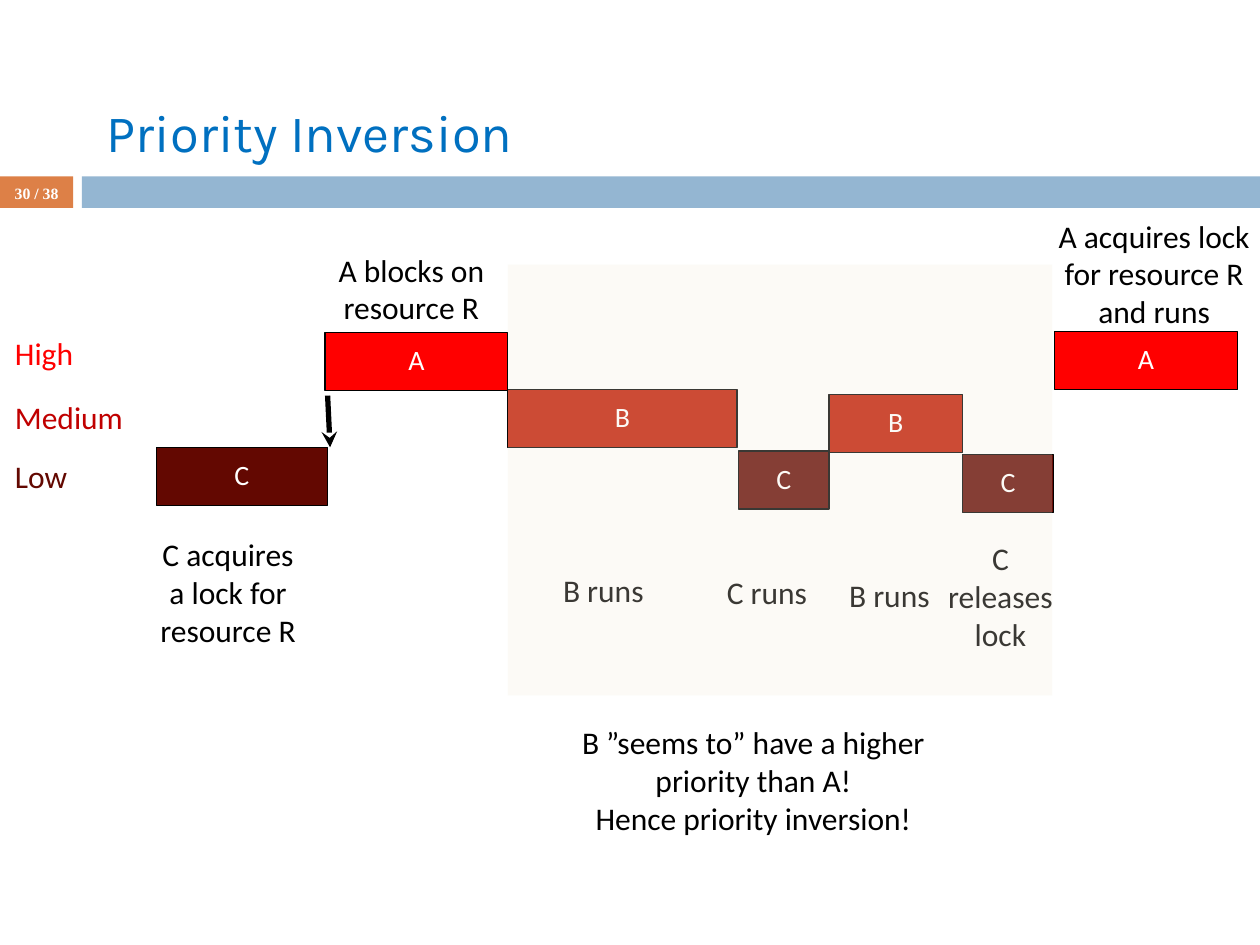
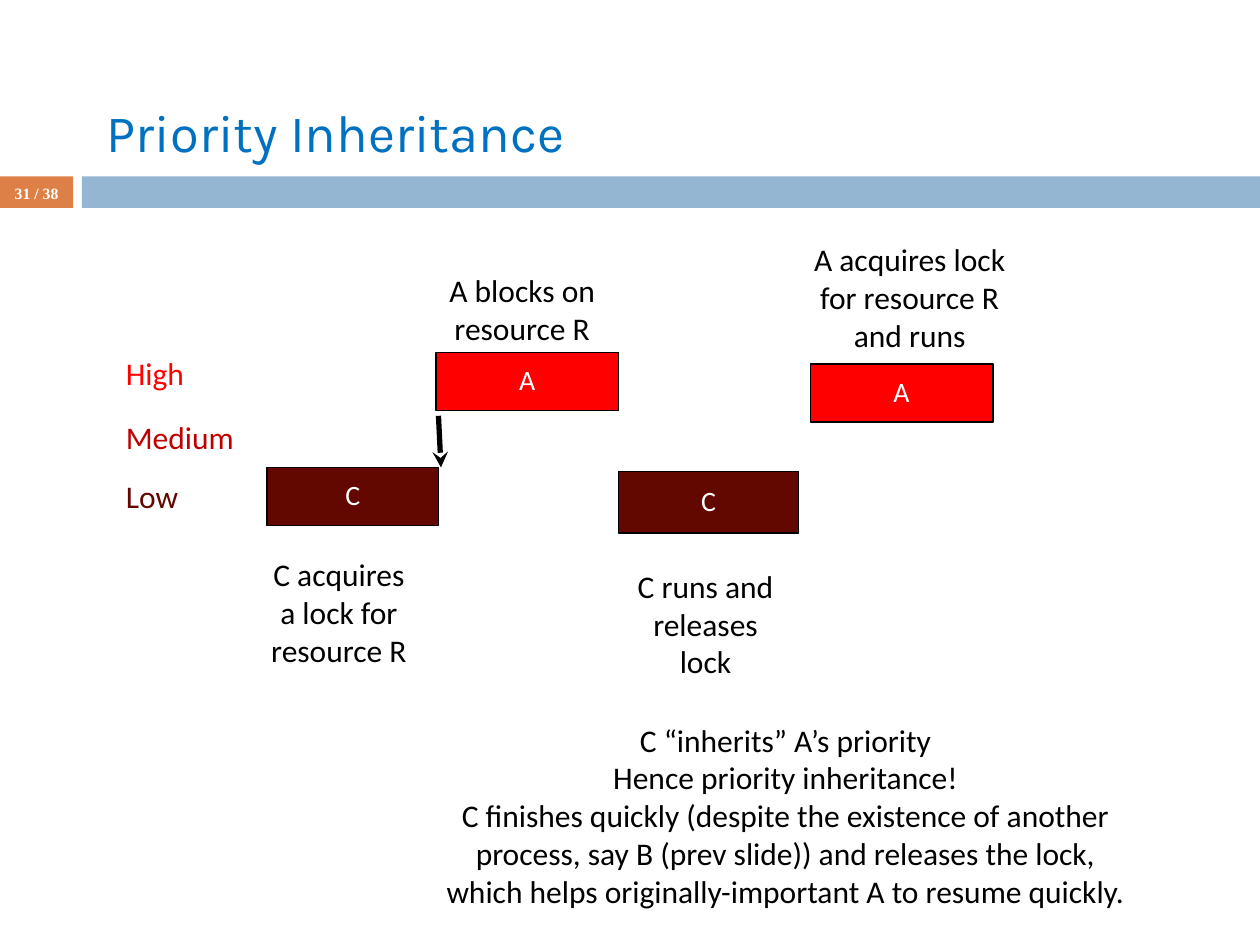
import pptx
import pptx.dml.color
import pptx.enum.shapes
import pptx.enum.text
import pptx.oxml
import pptx.oxml.ns
import pptx.util

Inches = pptx.util.Inches
Pt = pptx.util.Pt
SHAPE = pptx.enum.shapes.MSO_SHAPE
ALIGN = pptx.enum.text.PP_ALIGN
ANCHOR = pptx.enum.text.MSO_ANCHOR

BLACK, WHITE = "000000", "FFFFFF"
ORANGE, BLUE, TITLE_BLUE, CREAM = "DD8047", "94B6D2", "0070C0", "F3EBDB"
TASK_COLORS = {"A": "FF0000", "B": "C01A01", "C": "630801"}
LEVELS = [("High", "FF0000", 2.6), ("Medium", "C00000", 3.11), ("Low", "630801", 3.58)]
TOTAL_SLIDES = 38

FONTS = {
    "title": {"name": "Karla", "size": Pt(30)},
    "number": {"name": "Times New Roman", "size": Pt(9), "bold": True},
    "task": {"name": "Calibri", "size": Pt(16)},
    "body": {"name": "Calibri", "size": Pt(18)},
}
PARAGRAPHS = {
    "title": {"alignment": ALIGN.LEFT},
    "number": {"alignment": ALIGN.CENTER, "line_spacing": 0.6},
    "task": {"alignment": ALIGN.CENTER, "line_spacing": 0.9},
    "body": {"alignment": ALIGN.CENTER},
}


def rgb(color):
    return pptx.dml.color.RGBColor.from_string(color)


def assign(target, values):
    """Set every attribute named in values on target."""
    for name, value in values.items():
        setattr(target, name, value)


def add_xml(parent, tag, **attributes):
    child = pptx.oxml.parse_xml(f"<a:{tag} {pptx.oxml.ns.nsdecls('a')}/>")
    for name, value in attributes.items():
        child.set(name, str(value))
    parent.append(child)


class Deck:
    def __init__(self):
        self.prs = pptx.Presentation()
        self.prs.slide_width, self.prs.slide_height = Inches(10), Inches(7.5)
        self.s = None

    def slide(self, title, number):
        self.s = self.prs.slides.add_slide(self.prs.slide_layouts[6])
        self.shape(0, 1.4, 0.58, 0.25, ORANGE)
        self.shape(0.65, 1.4, 9.35, 0.25, BLUE)
        self.text(0.75, 0.42, 8.5, 1.25, [title], "title", TITLE_BLUE, anchor=ANCHOR.MIDDLE)
        self.text(0, 1.42, 0.58, 0.27, [f"{number} / {TOTAL_SLIDES}"], "number", WHITE,
                  anchor=ANCHOR.MIDDLE)

    def shape(self, x, y, w, h, fill, kind=SHAPE.RECTANGLE, opacity=None):
        sp = self.s.shapes.add_shape(kind, Inches(x), Inches(y), Inches(w), Inches(h))
        sp.shadow.inherit = False
        sp.fill.solid()
        sp.fill.fore_color.rgb = rgb(fill)
        sp.line.fill.background()
        if opacity is not None:
            color = sp._element.spPr.find(".//" + pptx.oxml.ns.qn("a:srgbClr"))
            add_xml(color, "alpha", val=opacity * 1000)
        return sp

    def set_text(self, tf, lines, style, color, anchor, align=None):
        assign(tf, {"word_wrap": True, "vertical_anchor": anchor})
        for i, line in enumerate(lines):
            p = tf.add_paragraph() if i else tf.paragraphs[0]
            assign(p, PARAGRAPHS[style])
            if align is not None:
                p.alignment = align
            r = p.add_run()
            r.text = line
            assign(r.font, FONTS[style])
            r.font.color.rgb = rgb(color)

    def text(self, x, y, w, h, lines, style="body", color=BLACK, anchor=ANCHOR.TOP, align=None):
        sp = self.s.shapes.add_textbox(Inches(x), Inches(y), Inches(w), Inches(h))
        self.set_text(sp.text_frame, lines, style, color, anchor, align)

    def task(self, name, x, y, w, h=0.46):
        """Draw one running period of a task in the task's colour."""
        sp = self.shape(x, y, w, h, TASK_COLORS[name], SHAPE.ROUNDED_RECTANGLE)
        sp.adjustments[0] = 0
        sp.line.width = Pt(0.75)
        sp.line.color.rgb = rgb(BLACK)
        tf = sp.text_frame
        assign(tf, {"margin_left": Inches(0.09), "margin_right": Inches(0.09),
                    "margin_top": Inches(0.04), "margin_bottom": Inches(0.04)})
        self.set_text(tf, [name], "task", WHITE, ANCHOR.MIDDLE)

    def arrow(self, x1, y1, x2, y2):
        sp = self.s.shapes.add_connector(pptx.enum.shapes.MSO_CONNECTOR.STRAIGHT,
                                         Inches(x1), Inches(y1), Inches(x2), Inches(y2))
        sp.line.width = Pt(3)
        sp.line.color.rgb = rgb(BLACK)
        spPr = sp._element.spPr
        add_xml(spPr.find(pptx.oxml.ns.qn("a:ln")), "tailEnd", type="stealth")
        add_xml(spPr, "effectLst")

    def blocking(self, dx=0, dy=0):
        """Draw the priority levels and the start: C takes the lock, A preempts and blocks."""
        for name, color, y in LEVELS:
            self.text(0.02 + dx, y + dy, 1.22, 0.47, [name], color=color, align=ALIGN.LEFT)
        self.task("C", 1.24 + dx, 3.55 + dy, 1.36)
        self.task("A", 2.58 + dx, 2.64 + dy, 1.45)
        self.text(1.12 + dx, 4.2 + dy, 1.38, 1, ["C acquires a lock for resource R"])
        self.text(2.5 + dx, 1.94 + dy, 1.53, 0.7, ["A blocks on resource R"])
        self.arrow(2.6 + dx, 3.14 + dy, 2.62 + dx, 3.55 + dy)

    def resuming(self, task_x, task_y, text_x, text_y):
        self.task("A", task_x, task_y, 1.45)
        self.text(text_x, text_y, 1.94, 1, ["A acquires lock for resource R and runs"])


def inversion_slide(deck):
    deck.slide("Priority Inversion", 30)
    deck.blocking()
    for name, x, y, w in [("B", 4.03, 3.09, 1.82), ("C", 5.86, 3.58, 0.72),
                          ("B", 6.58, 3.13, 1.06), ("C", 7.64, 3.61, 0.72)]:
        deck.task(name, x, y, w)
    for caption, x, y in [("B runs", 4.37, 4.48), ("C runs", 5.67, 4.5), ("B runs", 6.64, 4.52)]:
        deck.text(x, y, 1.09, 0.4, [caption], align=ALIGN.LEFT)
    deck.text(7.4, 4.23, 1.08, 1, ["C releases lock"])
    deck.shape(4.03, 2.1, 4.32, 3.42, CREAM, opacity=24)
    deck.text(4.36, 5.69, 3.24, 1, ["B ”seems to” have a higher priority than A!",
                                    "Hence priority inversion!"])
    deck.resuming(8.37, 2.63, 8.19, 1.67)


def inheritance_slide(deck):
    deck.slide("Priority Inheritance", 31)
    deck.blocking(0.88, 0.16)
    deck.task("C", 4.91, 3.74, 1.43, 0.49)
    deck.text(4.95, 4.45, 1.3, 1, ["C runs and releases lock"])
    deck.resuming(6.43, 2.89, 6.25, 1.86)
    deck.text(3.38, 5.67, 5.71, 1.6, [
        "C “inherits” A’s priority",
        "Hence priority inheritance!",
        "C finishes quickly (despite the existence of another process, say B (prev slide)) "
        "and releases the lock, which helps originally-important A to resume quickly.",
    ])


def main():
    deck = Deck()
    inversion_slide(deck)
    inheritance_slide(deck)
    deck.prs.save("out.pptx")


if __name__ == "__main__":
    main()
